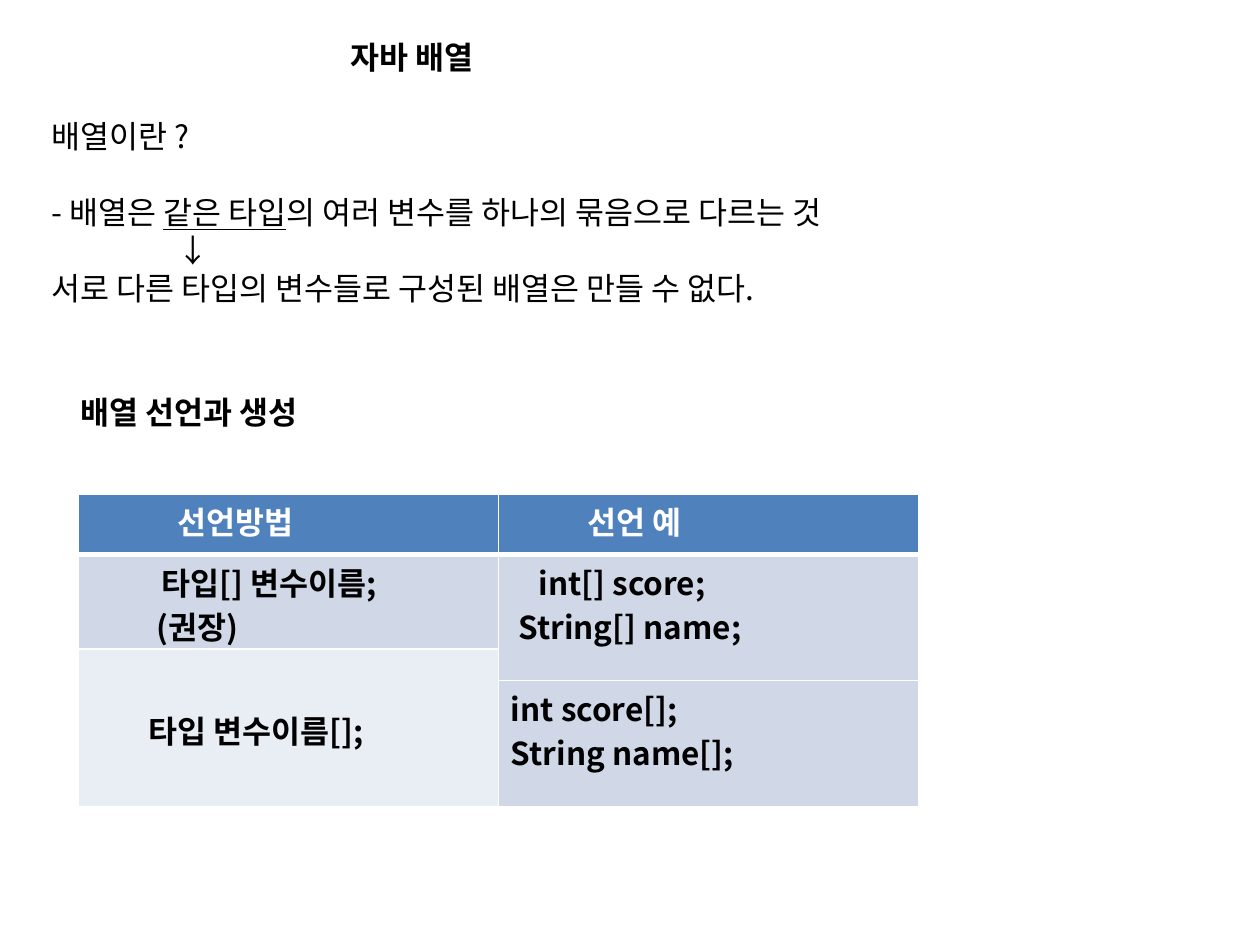
from dataclasses import dataclass

from lxml import etree
from pptx import Presentation
from pptx import util as u
from pptx.dml.color import RGBColor
from pptx.enum import text as t
from pptx.oxml import ns


@dataclass(frozen=True)
class Theme:
    font: str = "Noto Sans CJK KR"
    size: float = 18
    text_pitch: float = 21.7
    table_pitch: float = 25
    ink: str = "000000"
    white: str = "FFFFFF"
    header: str = "4F81BD"
    band: str = "D0D8E8"
    light: str = "E9EDF4"


THEME = Theme()


def write(frame, text, first=False, indent=0, before=0, bold=False,
          color=THEME.ink, pitch=THEME.text_pitch, underline=""):
    para = frame.paragraphs[0] if first else frame.add_paragraph()
    para.line_spacing = u.Pt(pitch)
    para.space_before = u.Pt(before)
    if indent:
        para._p.get_or_add_pPr().set("marL", str(u.Inches(indent)))
    head, mark, tail = text.partition(underline) if underline else (text, "", "")
    for part in filter(None, (head, mark, tail)):
        span = para.add_run()
        span.text = part
        font = span.font
        font.name, font.size, font.bold = THEME.font, u.Pt(THEME.size), bold
        font.color.rgb = RGBColor.from_string(color)
        if underline and part == mark:
            font.underline = True
        east = etree.SubElement(span._r.get_or_add_rPr(), ns.qn("a:ea"))
        east.set("typeface", THEME.font)


def add_text(page, box, lines):
    frame = page.shapes.add_textbox(*map(u.Inches, box)).text_frame
    frame.word_wrap = True
    frame.margin_top = u.Inches(0.07)
    for number, (text, style) in enumerate(lines):
        write(frame, text, first=number == 0, **style)


def add_title(page, box):
    add_text(page, box, [("자바 배열", dict(indent=2.45, bold=True))])


def add_definition(page, box):
    add_text(page, box, [
        ("배열이란 ?", {}),
        ("- 배열은 같은 타입의 여러 변수를 하나의 묶음으로 다르는 것",
         dict(before=THEME.text_pitch, underline="같은 타입")),
        ("↓", dict(indent=1)),
        ("서로 다른 타입의 변수들로 구성된 배열은 만들 수 없다.", {}),
    ])


def add_heading(page, box):
    add_text(page, box, [("배열 선언과 생성", dict(indent=0.07, bold=True))])


def add_borders(cell, bottom):
    properties = cell._tc.get_or_add_tcPr()
    for side, width in (("L", 1), ("R", 1), ("T", 1), ("B", bottom)):
        line = etree.SubElement(properties, ns.qn(f"a:ln{side}"), w=str(u.Pt(width)))
        paint = etree.SubElement(line, ns.qn("a:solidFill"))
        etree.SubElement(paint, ns.qn("a:srgbClr"), val=THEME.white)


def add_declarations(page, box):
    heights = (0.48, 0.75, 0.25, 1)
    table = page.shapes.add_table(len(heights), 2, *map(u.Inches, box)).table
    for row, height in zip(table.rows, heights):
        row.height = u.Inches(height)
    for number in range(len(heights)):
        for cell in table.rows[number].cells:
            add_borders(cell, 3 if number == 0 else 1)
    table.cell(1, 1).merge(table.cell(2, 1))
    table.cell(2, 0).merge(table.cell(3, 0))

    entries = {
        (0, 0): (THEME.header, [("선언방법", 0.69)]),
        (0, 1): (THEME.header, [("선언 예", 0.61)]),
        (1, 0): (THEME.band, [("타입[] 변수이름;", 0.56), ("(권장)", 0.52)]),
        (1, 1): (THEME.band, [("int[] score;", 0.22), ("String[] name;", 0.06)]),
        (2, 0): (THEME.light, [("타입 변수이름[];", 0.46)]),
        (3, 1): (THEME.band, [("int score[];", 0), ("String name[];", 0)]),
    }
    for (row, column), (fill, lines) in entries.items():
        cell = table.cell(row, column)
        cell.fill.solid()
        cell.fill.fore_color.rgb = RGBColor.from_string(fill)
        cell.margin_bottom = 0
        for number, (text, indent) in enumerate(lines):
            write(cell.text_frame, text, first=number == 0, indent=indent, bold=True,
                  color=THEME.white if row == 0 else THEME.ink,
                  pitch=THEME.table_pitch)
    table.cell(2, 0).vertical_anchor = t.MSO_ANCHOR.MIDDLE


def main():
    deck = Presentation()
    deck.slide_width, deck.slide_height = u.Inches(10), u.Inches(7.5)
    page = deck.slides.add_slide(deck.slide_layouts[6])
    add_title(page, (0.23, 0.23, 7.19, 0.4))
    add_definition(page, (0.31, 0.86, 9.38, 1.92))
    add_declarations(page, (0.62, 3.92, 6.67, 2.48))
    add_heading(page, (0.47, 3.05, 5.47, 0.71))
    deck.save("out.pptx")


if __name__ == "__main__":
    main()
